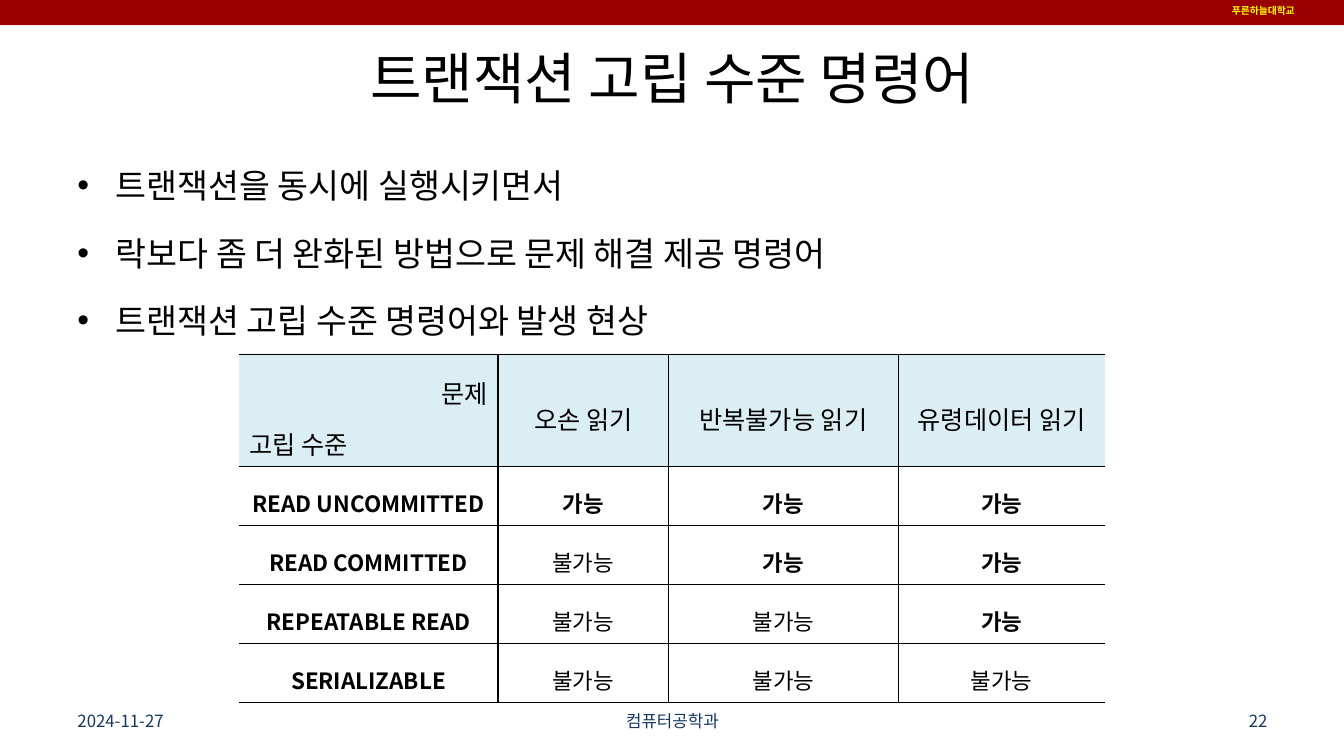
from pptx import Presentation
from pptx.dml.color import RGBColor
from pptx.enum.shapes import MSO_SHAPE
from pptx.enum.text import MSO_ANCHOR, PP_ALIGN
from pptx.oxml import parse_xml
from pptx.oxml.ns import nsdecls
from pptx.util import Inches, Pt

FONT = "Noto Sans CJK KR"
BLACK = RGBColor(0x00, 0x00, 0x00)
WHITE = RGBColor(0xFF, 0xFF, 0xFF)
RED = RGBColor(0x99, 0x00, 0x00)
YELLOW = RGBColor(0xFF, 0xFF, 0x00)
NAVY = RGBColor(0x17, 0x37, 0x5E)
PALE_BLUE = RGBColor(0xDB, 0xEE, 0xF4)
LEFT, CENTER, RIGHT = PP_ALIGN.LEFT, PP_ALIGN.CENTER, PP_ALIGN.RIGHT

SCHOOL = "푸른하늘대학교"
TITLE = "트랜잭션 고립 수준 명령어"
BULLETS = [
    "트랜잭션을 동시에 실행시키면서",
    "락보다 좀 더 완화된 방법으로 문제 해결 제공 명령어",
    "트랜잭션 고립 수준 명령어와 발생 현상",
]
FOOTERS = [  # text, left, width, alignment
    ("2024-11-27", 0.67, 3.11, LEFT),
    ("컴퓨터공학과", 4.56, 4.22, CENTER),
    ("22", 9.56, 3.11, RIGHT),
]
CORNER = ("문제", "고립 수준")
PROBLEMS = ["오손 읽기", "반복불가능 읽기", "유령데이터 읽기"]
POSSIBLE, IMPOSSIBLE = "가능", "불가능"
LEVELS = [  # isolation level, number of problems it prevents
    ("READ UNCOMMITTED", 0),
    ("READ COMMITTED", 1),
    ("REPEATABLE READ", 2),
    ("SERIALIZABLE", 3),
]
COLUMN_WIDTHS = [2.57, 1.69, 2.28, 2.05]
HEADER_HEIGHT, LEVELS_HEIGHT = 1.11, 2.34


def write(paragraph, text, size, color=BLACK, bold=False, align=LEFT, line_spacing=1.0):
    paragraph.alignment = align
    paragraph.line_spacing = line_spacing
    run = paragraph.add_run()
    run.text = text
    run.font.size = Pt(size)
    run.font.name = FONT
    run.font.bold = bold
    run.font.color.rgb = color
    properties = run._r.get_or_add_rPr()
    properties.append(parse_xml(f'<a:ea {nsdecls("a")} typeface="{FONT}"/>'))


def add_text_frame(slide, left, top, width, height, anchor=MSO_ANCHOR.TOP, wrap=True):
    box = slide.shapes.add_textbox(Inches(left), Inches(top), Inches(width), Inches(height))
    box.text_frame.word_wrap = wrap
    box.text_frame.vertical_anchor = anchor
    return box.text_frame


def add_bullet(paragraph):
    properties = paragraph._p.get_or_add_pPr()
    properties.set("marL", str(Inches(0.38)))
    properties.set("indent", str(-Inches(0.38)))
    properties.append(parse_xml(f'<a:buFont {nsdecls("a")} typeface="Arial"/>'))
    properties.append(parse_xml(f'<a:buChar {nsdecls("a")} char="•"/>'))


def style_cell(cell, fill, sides):
    """Fill the cell and rule the given sides in black."""
    properties = cell._tc.get_or_add_tcPr()
    for side in ("L", "R", "T", "B"):
        if side in sides:
            line = '<a:solidFill><a:srgbClr val="000000"/></a:solidFill>'
        else:
            line = "<a:noFill/>"
        properties.append(parse_xml(f'<a:ln{side} {nsdecls("a")} w="12700">{line}</a:ln{side}>'))
    cell.fill.solid()
    cell.fill.fore_color.rgb = fill


def add_level_table(slide):
    rows, columns = len(LEVELS) + 1, len(COLUMN_WIDTHS)
    frame = slide.shapes.add_table(
        rows, columns, Inches(2.37), Inches(3.52), Inches(sum(COLUMN_WIDTHS)),
        Inches(HEADER_HEIGHT + LEVELS_HEIGHT))
    table = frame.table
    table.first_row = table.horz_banding = False
    for column, width in zip(table.columns, COLUMN_WIDTHS):
        column.width = Inches(width)
    for index, row in enumerate(table.rows):
        row.height = Inches(LEVELS_HEIGHT / len(LEVELS) if index else HEADER_HEIGHT)
        for position, cell in enumerate(row.cells):
            sides = "TB" + ("L" if position else "") + ("R" if position < columns - 1 else "")
            style_cell(cell, WHITE if index else PALE_BLUE, sides)
            paragraph = cell.text_frame.paragraphs[0]
            if index == position == 0:
                write(paragraph, CORNER[0], 18, align=RIGHT, line_spacing=1.4)
                write(cell.text_frame.add_paragraph(), CORNER[1], 18, line_spacing=1.4)
                continue
            cell.vertical_anchor = MSO_ANCHOR.MIDDLE
            if index == 0:
                text, bold = PROBLEMS[position - 1], False
            else:
                level, prevented = LEVELS[index - 1]
                bold = position == 0 or position > prevented
                text = (POSSIBLE if bold else IMPOSSIBLE) if position else level
            write(paragraph, text, 16 if index else 18, bold=bold, align=CENTER, line_spacing=1.4)


def main():
    presentation = Presentation()
    presentation.slide_width, presentation.slide_height = Inches(13.33), Inches(7.5)
    slide = presentation.slides.add_slide(presentation.slide_layouts[6])

    banner = slide.shapes.add_shape(MSO_SHAPE.RECTANGLE, 0, 0, Inches(13.33), Inches(0.25))
    banner.shadow.inherit = False
    banner.fill.solid()
    banner.fill.fore_color.rgb = RED
    banner.line.fill.background()
    school = add_text_frame(slide, 12.12, 0, 0.88, 0.22, wrap=False)
    write(school.paragraphs[0], SCHOOL, 7, color=YELLOW, bold=True)

    title = add_text_frame(slide, 0.67, 0.3, 12, 0.93, anchor=MSO_ANCHOR.MIDDLE)
    write(title.paragraphs[0], TITLE, 40, align=CENTER)

    body = add_text_frame(slide, 0.67, 1.39, 12, 5.43)
    for index, text in enumerate(BULLETS):
        paragraph = body.add_paragraph() if index else body.paragraphs[0]
        write(paragraph, text, 24, line_spacing=1.5)
        paragraph.space_before = Pt(4.8)
        add_bullet(paragraph)

    for text, left, width, align in FOOTERS:
        footer = add_text_frame(slide, left, 6.95, width, 0.4, anchor=MSO_ANCHOR.MIDDLE)
        write(footer.paragraphs[0], text, 12, color=NAVY, align=align)

    add_level_table(slide)
    presentation.save("out.pptx")


if __name__ == "__main__":
    main()
